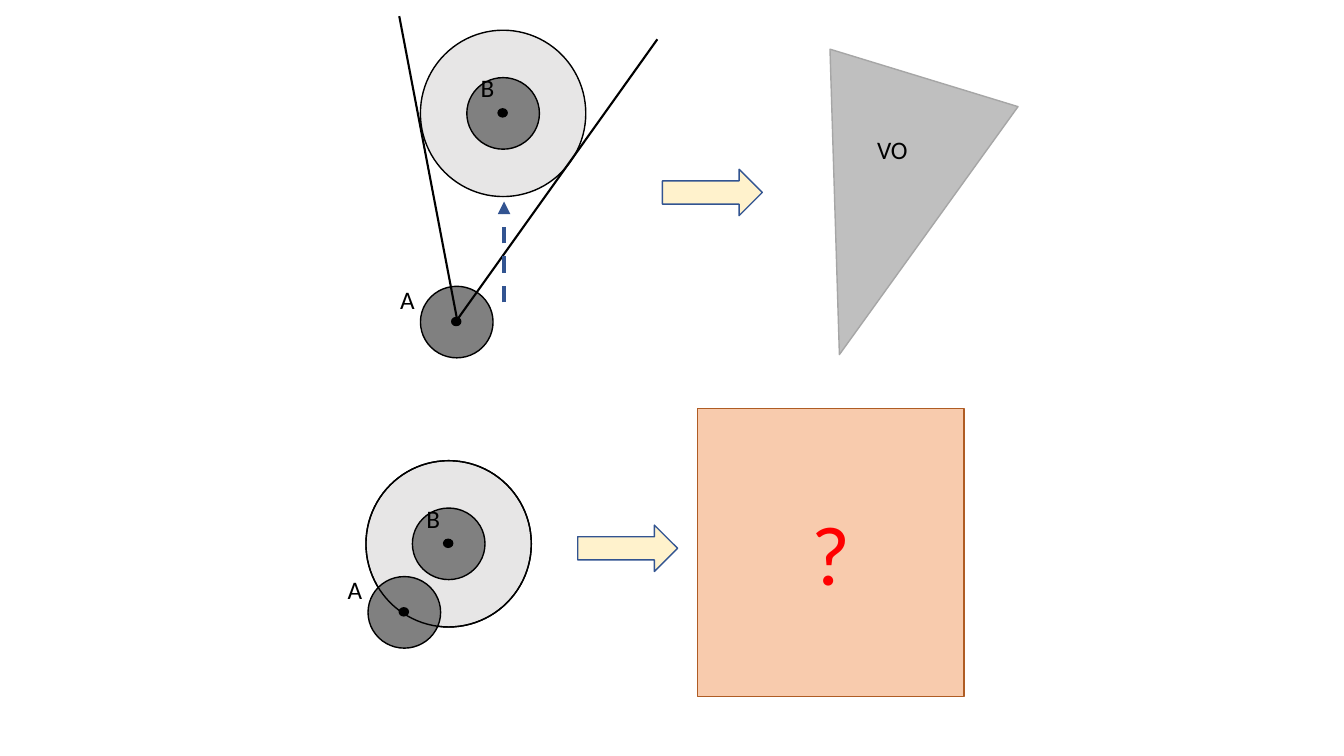
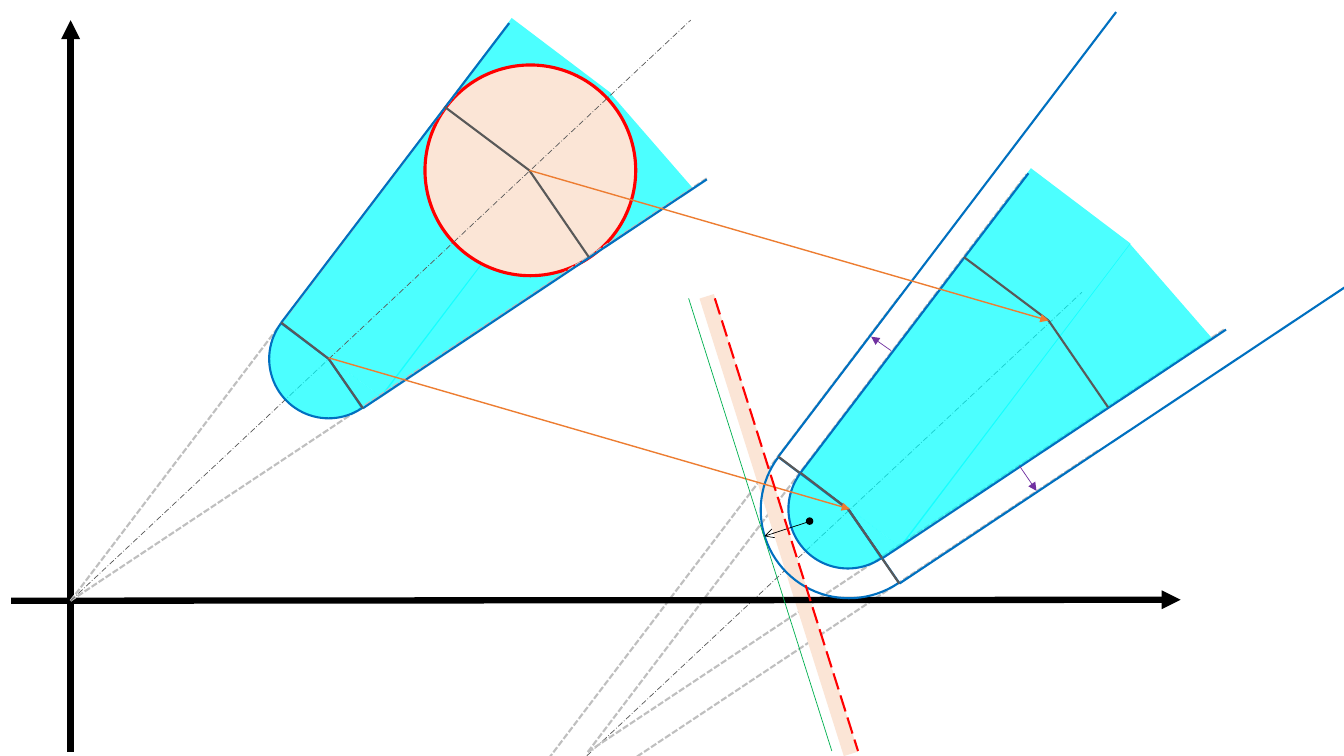
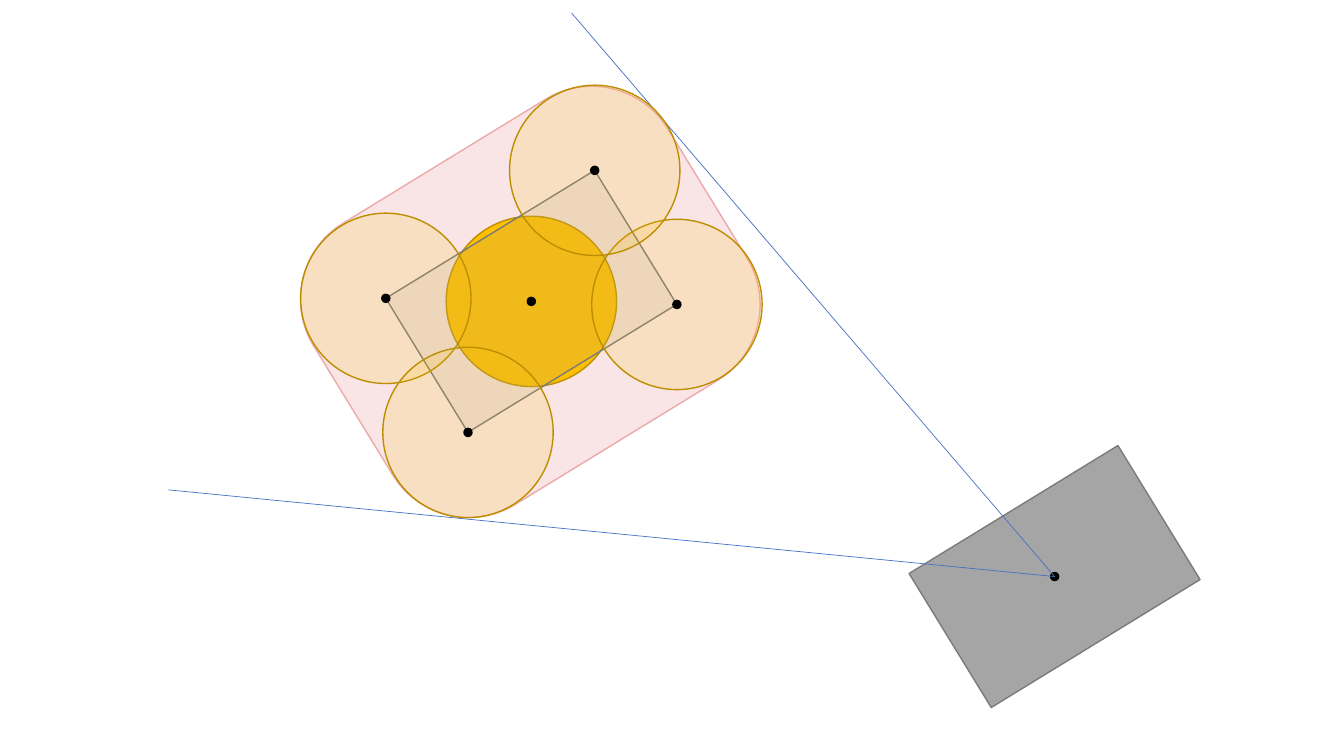
import math

import lxml.etree
import pptx
import pptx.dml.color
import pptx.enum.shapes
import pptx.enum.text
import pptx.oxml.ns
import pptx.util

CELL = pptx.util.Inches(1)
COLUMNS, ROWS = 13.33, 7.5
FONT = "Calibri"
PRESET = pptx.enum.shapes.MSO_SHAPE
COLOURS = {
    "black": "000000", "red": "FF0000", "body": "808080", "halo": "E7E6E6",
    "cream": "FFF2CC", "navy": "325491", "salmon": "F8CBAD", "brown": "AF5C24",
    "silver": "BFBFBF", "silver edge": "A6A6A6", "charcoal": "595959",
    "cyan": "00FFFF", "blue": "0070C0", "peach": "FBE5D6", "orange": "ED7D31",
    "purple": "7030A0", "green": "00B050", "pink": "EDA9A9", "gold": "FFC000",
    "gold edge": "BD8E00", "grey": "A5A5A5", "grey edge": "7A7A7A", "ray": "4472C4",
}


def colour(name):
    """Return the named colour of the palette."""
    return pptx.dml.color.RGBColor.from_string(COLOURS[name])


def add_child(parent, tag, **attributes):
    """Append a drawing element with its attributes."""
    return lxml.etree.SubElement(parent, pptx.oxml.ns.qn(tag), **attributes)


def set_stroke(shape, name, width=1, dash=None, tail=None):
    """Set the colour, width, dash and arrowhead of a line."""
    if name is None:
        shape.line.fill.background()
        return
    shape.line.color.rgb = colour(name)
    shape.line.width = pptx.util.Pt(width)
    outline = shape.element.spPr.find(pptx.oxml.ns.qn("a:ln"))
    if dash:
        add_child(outline, "a:prstDash", val=dash)
    if tail:
        add_child(outline, "a:tailEnd", type=tail)


def add_shape(slide, preset, box, fill=None, line="black", width=1, alpha=None,
              rotation=0, adjustments=()):
    """Draw a preset shape in a box of columns and rows."""
    shape = slide.shapes.add_shape(preset, *(round(length * CELL) for length in box))
    shape.shadow.inherit = False
    shape.rotation = rotation
    for index, value in enumerate(adjustments):
        shape.adjustments[index] = value
    if fill:
        shape.fill.solid()
        shape.fill.fore_color.rgb = colour(fill)
        if alpha is not None:
            value = next(shape.element.spPr.iter(pptx.oxml.ns.qn("a:srgbClr")))
            add_child(value, "a:alpha", val=str(alpha * 1000))
    else:
        shape.fill.background()
    set_stroke(shape, line, width)
    return shape


def add_line(slide, start, end, name, width=1.5, dash=None, tail=None):
    """Draw a straight connector between two points."""
    ends = (round(length * CELL) for length in (*start, *end))
    connector = slide.shapes.add_connector(pptx.enum.shapes.MSO_CONNECTOR.STRAIGHT, *ends)
    set_stroke(connector, name, width, dash, tail)
    add_child(connector.element.spPr, "a:effectLst")


def add_lines(slide, origin, segments, name, **style):
    """Draw segments given relative to an origin."""
    for start, end in segments:
        add_line(slide, shift(origin, *start), shift(origin, *end), name, **style)


def write_text(shape, text, size=18, name="black", align="LEFT", anchor="TOP"):
    """Write one formatted paragraph into a shape."""
    frame = shape.text_frame
    frame.word_wrap = True
    frame.vertical_anchor = getattr(pptx.enum.text.MSO_ANCHOR, anchor)
    paragraph = frame.paragraphs[0]
    paragraph.text = text
    paragraph.alignment = getattr(pptx.enum.text.PP_ALIGN, align)
    paragraph.font.name = FONT
    paragraph.font.size = pptx.util.Pt(size)
    paragraph.font.color.rgb = colour(name)


def add_label(slide, box, text):
    """Place a text label in a box."""
    label = slide.shapes.add_textbox(*(round(length * CELL) for length in box))
    write_text(label, text)


def shift(origin, across, down):
    """Return the point at an offset from an origin."""
    return origin[0] + across, origin[1] + down


def add_disc(slide, centre, diameter, **style):
    """Draw a circle around a centre."""
    corner = shift(centre, -diameter / 2, -diameter / 2)
    add_shape(slide, PRESET.OVAL, (*corner, diameter, diameter), **style)


def add_robot(slide, origin, text, label_offset):
    """Draw a labelled robot body with its centre dot."""
    add_shape(slide, PRESET.OVAL, (*origin, 0.72, 0.71), fill="body")
    add_shape(slide, PRESET.OVAL, (*shift(origin, 0.31, 0.31), 0.09, 0.08), fill="black")
    add_label(slide, (*shift(origin, *label_offset), 0.4, 0.4), text)


def add_encounter(slide, halo, agent):
    """Draw obstacle B inside its halo, and agent A."""
    add_shape(slide, PRESET.OVAL, (*halo, 1.64, 1.65), fill="halo")
    add_robot(slide, shift(halo, 0.46, 0.47), "B", (0.04, -0.1))
    add_robot(slide, agent, "A", (-0.3, -0.07))


def add_block_arrow(slide, origin):
    """Draw the arrow from a situation to its outcome."""
    add_shape(slide, PRESET.RIGHT_ARROW, (*origin, 0.99, 0.46), fill="cream", line="navy")


def add_curved_path(slide, start, curves):
    """Draw a dashed arrow along cubic curves."""
    points, steps = [start], 16
    for first, second, end in curves:
        begin = points[-1]
        for step in range(1, steps + 1):
            t = step / steps
            weights = (1 - t) ** 3, 3 * t * (1 - t) ** 2, 3 * t * t * (1 - t), t ** 3
            points.append(tuple(
                sum(weight * value for weight, value in zip(weights, axis))
                for axis in zip(begin, first, second, end)))
    builder = slide.shapes.build_freeform(*points[0], scale=CELL)
    builder.add_line_segments(points[1:], close=False)
    trajectory = builder.convert_to_shape()
    trajectory.shadow.inherit = False
    trajectory.fill.background()
    set_stroke(trajectory, "navy", 3, "dash", "triangle")


def build_obstacle_slide(slide):
    """Show a separated and an overlapping encounter."""
    halo = (3.63, 4.57)
    add_encounter(slide, halo, (3.65, 5.72))
    add_shape(slide, PRESET.OVAL, (*halo, 1.64, 1.65))
    add_block_arrow(slide, (5.73, 5.21))
    unknown = add_shape(slide, PRESET.RECTANGLE, (6.92, 4.05, 2.64, 2.86),
                        fill="salmon", line="brown")
    write_text(unknown, "?", size=60, name="red", align="CENTER", anchor="MIDDLE")
    add_encounter(slide, (4.17, 0.3), (4.17, 2.84))
    add_line(slide, (4.53, 3.15), (3.96, 0.16), "black")
    add_line(slide, (4.5, 3.22), (6.52, 0.39), "black")
    add_shape(slide, PRESET.ISOSCELES_TRIANGLE, (7.77, 0.71, 1.95, 2.87),
              fill="silver", line="silver edge", rotation=197)
    add_label(slide, (8.6, 1.28, 0.61, 0.4), "VO")
    add_block_arrow(slide, (6.57, 1.68))
    add_curved_path(slide, (4.53, 3.21), [
        ((4.6, 3.1), (4.68, 2.99), (4.7, 2.76)),
        ((4.73, 2.53), (4.7, 2.18), (4.67, 1.82))])


def add_tangents(slide, apex):
    """Draw the dashed sides of a cone from its apex."""
    sides = [((0, 0), (4.35, -5.73)), ((0, 0), (6.31, -4.19))]
    add_lines(slide, apex, sides, "silver", dash="sysDash")


def add_cone_axis(slide, apex):
    """Draw the centre line of a cone from its apex."""
    add_lines(slide, apex, [((0, 0), (6.15, -5.76))], "charcoal",
              width=0.5, dash="lgDashDot")


def add_cone_fill(slide, cap):
    """Fill a truncated cone around the centre of its cap."""
    parts = [
        (PRESET.ISOSCELES_TRIANGLE, (1.2, -2.79), (1.25, 3.66), 229, [0.39]),
        (PRESET.ISOSCELES_TRIANGLE, (-0.12, 0.16), (0.63, 0.22), 217.1, [0.11]),
        (PRESET.RECTANGLE, (-0.72, -2.12), (3.78, 1.24), 307.1, []),
    ]
    for preset, offset, size, rotation, adjustments in parts:
        add_shape(slide, preset, (*shift(cap, *offset), *size), fill="cyan", alpha=70,
                  line=None, rotation=rotation, adjustments=adjustments)


def add_cap(slide, centre, diameter, **style):
    """Draw the rounded end of a cone."""
    corner = shift(centre, -diameter / 2, -diameter / 2)
    add_shape(slide, PRESET.PIE, (*corner, diameter, diameter), line="blue", width=1.5,
              adjustments=[33.26, 130.15], **style)


def add_cone_outline(slide, cap):
    """Draw the cap, sides and radii of a truncated cone."""
    left, right = (-0.47, -0.36), (0.34, 0.49)
    far = (1.99, -1.87)
    add_cap(slide, cap, 1.18, fill="cyan", alpha=70)
    add_lines(slide, cap, [(left, (1.79, -3.33)), (right, (3.75, -1.78))], "blue")
    add_lines(slide, cap, [(far, (2.58, -1.01)), (far, (1.15, -2.5)),
                           (left, (0, 0)), ((0, 0), right)], "charcoal")


def add_widened_cone(slide, cap):
    """Draw the enlarged cone outline around a cap centre."""
    left, right = (-0.7, -0.53), (0.5, 0.73)
    add_cap(slide, cap, 1.75)
    add_lines(slide, cap, [(left, (2.65, -4.94)), (right, (5.55, -2.63))], "blue")
    add_lines(slide, cap, [(left, (0, 0)), ((0, 0), right)], "charcoal")


def build_cone_slide(slide):
    """Show a velocity cone, its translation and a half-plane."""
    apex, moved_apex, lower_apex = (0.7, 5.96), (5.83, 7.46), (4.58, 8.66)
    cap, moved_cap = (3.26, 3.56), (8.41, 5.05)
    add_cone_axis(slide, lower_apex)
    add_tangents(slide, moved_apex)
    add_tangents(slide, lower_apex)
    add_shape(slide, PRESET.RECTANGLE, (7.65, 2.83, 0.15, 4.76), fill="peach",
              line=None, rotation=342.5)
    add_cone_fill(slide, moved_cap)
    add_cone_fill(slide, cap)
    for start, end in [((0.11, 5.96), (11.71, 5.95)), ((0.7, 7.46), (0.7, 0.2))]:
        add_line(slide, start, end, "black", width=4.5, tail="triangle")
    add_widened_cone(slide, (8.42, 5.06))
    add_disc(slide, (5.26, 1.69), 2.09, fill="peach", line="red", width=2.25)
    add_tangents(slide, apex)
    add_cone_axis(slide, apex)
    add_cone_outline(slide, cap)
    add_cone_outline(slide, moved_cap)
    arrows = [
        ((5.25, 1.69), (10.4, 3.18), "orange", 1, "triangle"),
        ((3.26, 3.55), (8.43, 5.05), "orange", 1, "triangle"),
        ((10.11, 4.62), (10.28, 4.87), "purple", 0.5, "triangle"),
        ((8.84, 3.48), (8.64, 3.34), "purple", 0.5, "triangle"),
        ((8.04, 5.17), (7.58, 5.32), "black", 0.5, "arrow"),
    ]
    for start, end, name, width, tail in arrows:
        add_line(slide, start, end, name, width=width, tail=tail)
    add_disc(slide, (8.03, 5.17), 0.06, fill="black")
    boundary = [((0, 0), (1.42, 4.49))]
    add_lines(slide, (6.83, 2.96), boundary, "green", width=0.5)
    add_lines(slide, (7.09, 2.96), boundary, "red", dash="lgDash")


def add_vehicle(slide, centre, tilt, **style):
    """Draw a tilted vehicle with its centre dot."""
    width, height = 2.43, 1.56
    corner = shift(centre, -width / 2, -height / 2)
    add_shape(slide, PRESET.RECTANGLE, (*corner, width, height), fill="grey",
              line="grey edge", rotation=tilt, **style)
    add_disc(slide, centre, 0.08, fill="black")
    angle = math.radians(tilt)
    signs = [(-1, -1), (-1, 1), (1, 1), (1, -1)]
    halves = [(across * width / 2, down * height / 2) for across, down in signs]
    return [shift(centre, x * math.cos(angle) - y * math.sin(angle),
                  x * math.sin(angle) + y * math.cos(angle)) for x, y in halves]


def build_sum_slide(slide):
    """Show a vehicle swept by a disc, seen from another vehicle."""
    tilt, diameter = 328.5, 1.69
    target, observer = (5.27, 2.99), (10.46, 5.72)
    add_shape(slide, PRESET.ROUNDED_RECTANGLE, (3.2, 1.36, 4.12, 3.27), fill="pink",
              alpha=30, line="pink", rotation=tilt, adjustments=[0.27])
    add_disc(slide, target, diameter, fill="gold", line="gold edge")
    add_vehicle(slide, observer, tilt)
    for end in [(1.67, 4.86), (5.67, 0.13)]:
        add_line(slide, observer, end, "ray", width=0.5)
    for corner in add_vehicle(slide, target, tilt, alpha=16):
        add_disc(slide, corner, diameter, fill="gold", alpha=15, line="gold edge")
        add_disc(slide, corner, 0.08, fill="black")


def main():
    """Build and save the presentation."""
    presentation = pptx.Presentation()
    presentation.slide_width = round(COLUMNS * CELL)
    presentation.slide_height = round(ROWS * CELL)
    blank = presentation.slide_layouts[6]
    for build in (build_obstacle_slide, build_cone_slide, build_sum_slide):
        build(presentation.slides.add_slide(blank))
    presentation.save("out.pptx")


if __name__ == "__main__":
    main()
